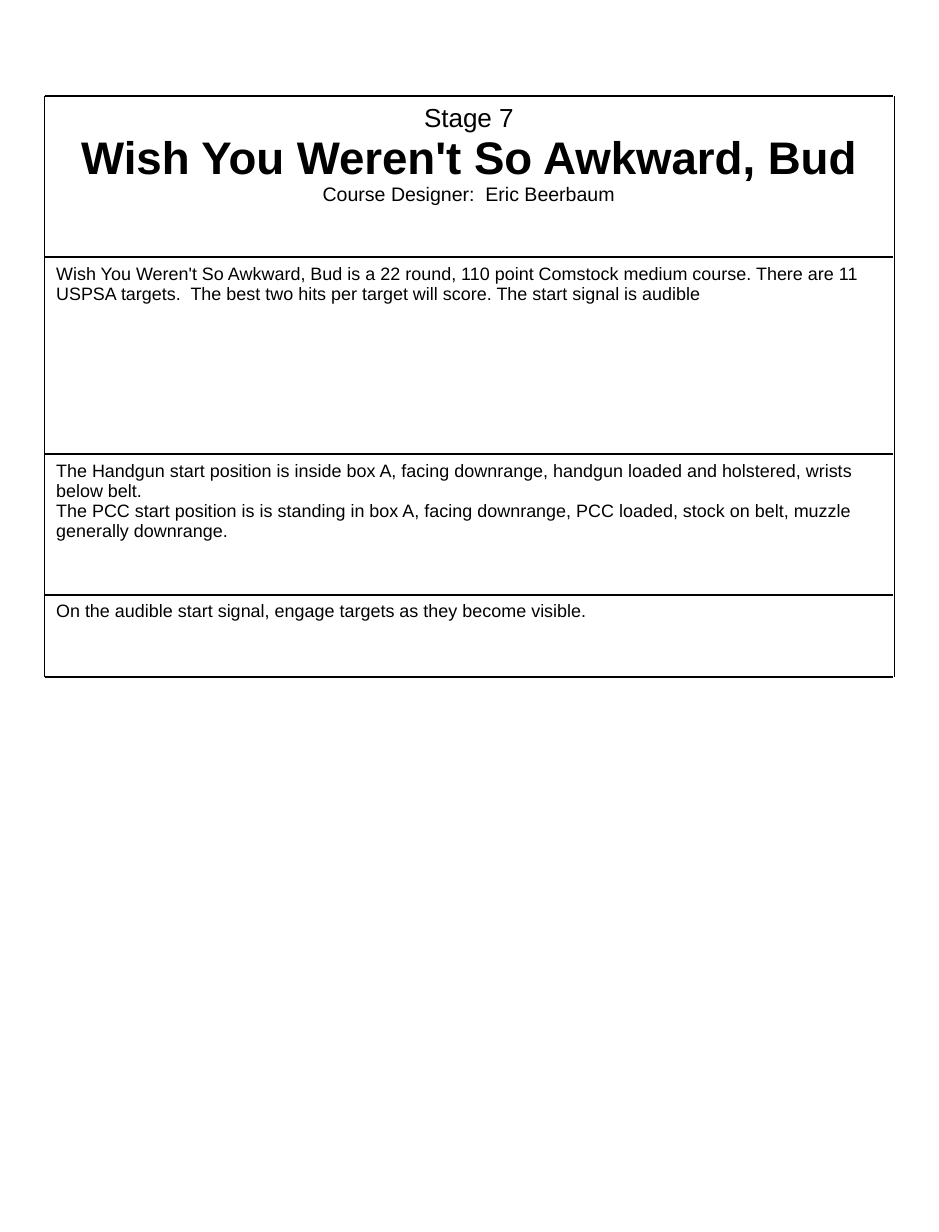
from itertools import pairwise

from lxml import etree
from pptx import Presentation
from pptx.dml.color import RGBColor
from pptx.enum.shapes import MSO_CONNECTOR, MSO_SHAPE
from pptx.enum.text import MSO_ANCHOR, PP_ALIGN
from pptx.oxml.ns import qn
from pptx.util import Inches, Pt

RECTANGLE = MSO_SHAPE.RECTANGLE
STRAIGHT = MSO_CONNECTOR.STRAIGHT
TOP = MSO_ANCHOR.TOP
LEFT, CENTER = PP_ALIGN.LEFT, PP_ALIGN.CENTER

COLORS = {"paper": "FFFFFF", "ink": "000000"}
FONT = "Arial"
SLIDE_W, SLIDE_H = 8, 10.5
SHEET_LEFT, SHEET_RIGHT = 0.38, 7.61
ROW_EDGES = [0.82, 2.19, 3.87, 5.07, 5.77]
BODY_SIZE = 11

# Each paragraph: text, size, bold
HEADING = [
    ("Stage 7", 16, False),
    ("Wish You Weren't So Awkward, Bud", 28, True),
    ("Course Designer:  Eric Beerbaum", 12, False),
]
BRIEFING = [
    ["Wish You Weren't So Awkward, Bud is a 22 round, 110 point Comstock medium course. "
     "There are 11 USPSA targets.  The best two hits per target will score. "
     "The start signal is audible"],
    ["The Handgun start position is inside box A, facing downrange, handgun loaded and "
     "holstered, wrists below belt.",
     "The PCC start position is is standing in box A, facing downrange, PCC loaded, "
     "stock on belt, muzzle generally downrange."],
    ["On the audible start signal, engage targets as they become visible."],
]


def color(name):
    return RGBColor.from_string(COLORS[name])


def add_section(sheet, top, bottom, paragraphs, align=LEFT, inset_top=0.06):
    """Fill one row of the sheet with a white box and its paragraphs."""
    section = sheet.shapes.add_shape(
        RECTANGLE, Inches(SHEET_LEFT), Inches(top),
        Inches(SHEET_RIGHT - SHEET_LEFT), Inches(bottom - top))
    section.shadow.inherit = False
    section.fill.solid()
    section.fill.fore_color.rgb = color("paper")
    section.line.fill.background()

    frame = section.text_frame
    frame.word_wrap = True
    frame.vertical_anchor = TOP
    frame.margin_left = frame.margin_right = Inches(0.1)
    frame.margin_top, frame.margin_bottom = Inches(inset_top), Inches(0.05)
    for index, (text, size, bold) in enumerate(paragraphs):
        paragraph = frame.add_paragraph() if index else frame.paragraphs[0]
        paragraph.alignment = align
        paragraph.line_spacing = 0.93
        run = paragraph.add_run()
        run.text = text
        run.font.name = FONT
        run.font.size = Pt(size)
        run.font.bold = bold
        run.font.color.rgb = color("ink")


def add_rule(sheet, x1, y1, x2, y2):
    rule = sheet.shapes.add_connector(
        STRAIGHT, Inches(x1), Inches(y1), Inches(x2), Inches(y2))
    rule.line.color.rgb = color("ink")
    rule.line.width = Pt(0.91)
    etree.SubElement(rule._element.spPr, qn("a:effectLst"))


def add_rules(sheet, left, right, edges):
    """Draw the row rules, then the side rules row by row."""
    for y in edges:
        add_rule(sheet, left, y, right, y)
    for x in (left, right + 0.01):
        for top, bottom in pairwise(edges):
            add_rule(sheet, x, top, x, bottom)


def add_stage_sheet(slide):
    sheet = slide.shapes.add_group_shape()
    rows = list(pairwise(ROW_EDGES))

    # Heading
    add_section(sheet, *rows[0], HEADING, CENTER, inset_top=0.07)

    # Course, start positions and procedure
    for (top, bottom), texts in zip(rows[1:], BRIEFING):
        add_section(sheet, top, bottom, [(text, BODY_SIZE, False) for text in texts])

    # Frame
    add_rules(sheet, SHEET_LEFT, SHEET_RIGHT, ROW_EDGES)


def main():
    deck = Presentation()
    deck.slide_width, deck.slide_height = Inches(SLIDE_W), Inches(SLIDE_H)
    slide = deck.slides.add_slide(deck.slide_layouts[6])
    slide.background.fill.solid()
    slide.background.fill.fore_color.rgb = color("paper")
    add_stage_sheet(slide)
    deck.save("out.pptx")


if __name__ == "__main__":
    main()
